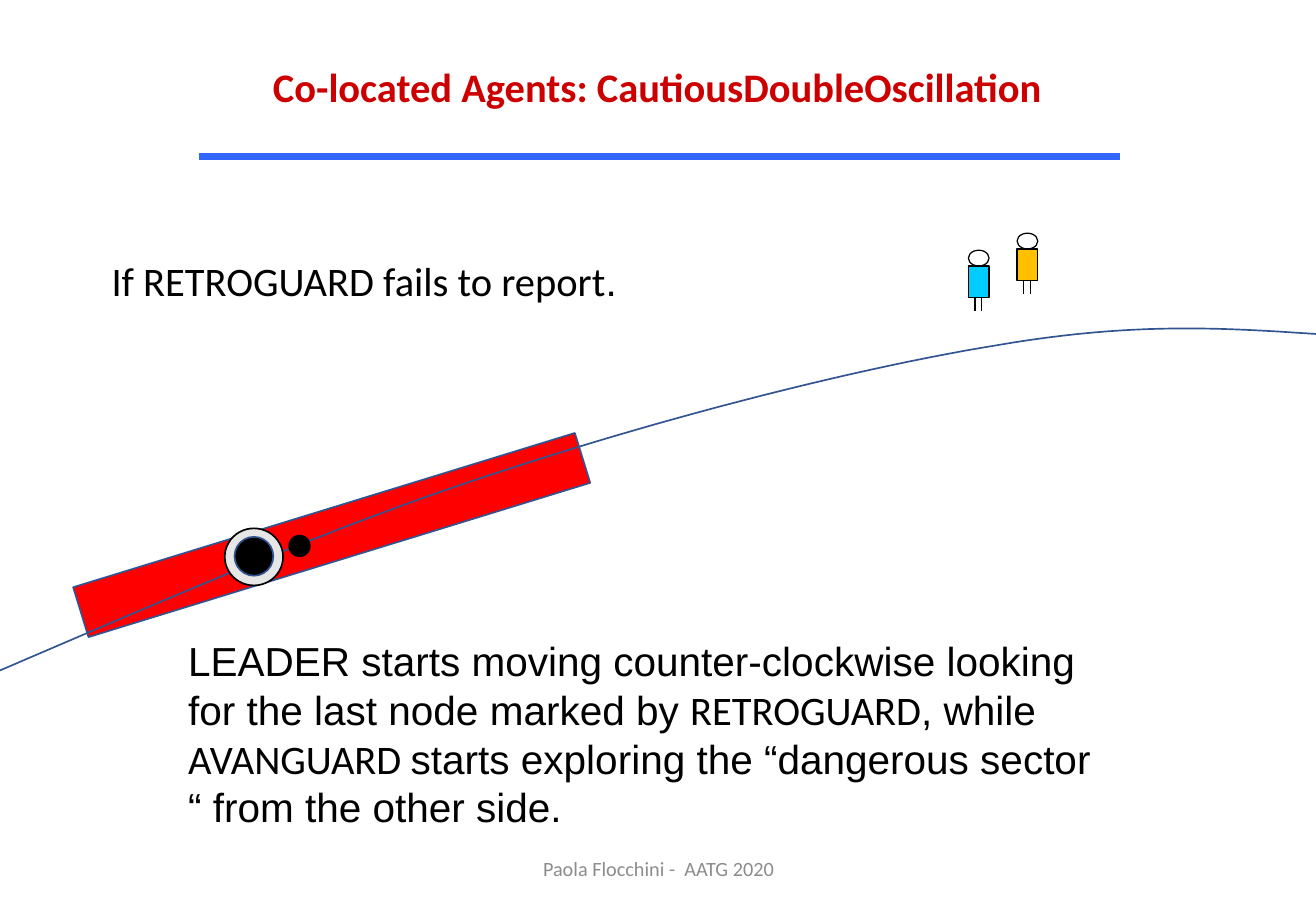
from lxml import etree
from pptx import Presentation
from pptx.dml.color import RGBColor
from pptx.enum.shapes import MSO_CONNECTOR, MSO_SHAPE
from pptx.enum.text import MSO_ANCHOR, MSO_AUTO_SIZE, PP_ALIGN
from pptx.oxml.ns import qn
from pptx.util import Inches, Pt

RECTANGLE, ELLIPSE = MSO_SHAPE.RECTANGLE, MSO_SHAPE.OVAL
STRAIGHT = MSO_CONNECTOR.STRAIGHT
LEFT, CENTER = PP_ALIGN.LEFT, PP_ALIGN.CENTER
TOP, MIDDLE = MSO_ANCHOR.TOP, MSO_ANCHOR.MIDDLE
SANS, BODY = "Arial", "Calibri"
BLACK, NAVY, RED, GREY = "000000", "325491", "FF0000", "8C8C8C"
TITLE_RED, RULE_BLUE, RING_GREY = "CC0000", "3366FF", "E7E6E6"
CYAN, AMBER = "00CCFF", "FFC000"
STEPS = 24

RING_CURVE = [
    [(0, 73.6), (12.93, 65.6), (25.76, 57.47), (38.41, 51.6)],
    [(38.41, 51.6), (51.06, 45.6), (65.56, 40.27), (75.9, 37.87)],
    [(75.9, 37.87), (86.15, 35.33), (93.07, 36), (100, 36.67)],
]


def color(value):
    return RGBColor.from_string(value)


def bezier_point(points, t):
    """Return the point at share t of a cubic Bezier curve."""
    weights = ((1 - t) ** 3, 3 * t * (1 - t) ** 2, 3 * t ** 2 * (1 - t), t ** 3)
    return tuple(sum(weight * point[axis] for weight, point in zip(weights, points))
                 for axis in (0, 1))


class SlideBuilder:
    """Draws on one slide; lengths are percent of its width and height."""

    def __init__(self, presentation):
        self.column = presentation.slide_width / 100
        self.row = presentation.slide_height / 100
        self.slide = presentation.slides.add_slide(presentation.slide_layouts[5])
        self.shapes = self.slide.shapes

    def place(self, *lengths):
        """Turn alternating columns and rows into slide units."""
        return [round(length * (self.row if index % 2 else self.column))
                for index, length in enumerate(lengths)]

    def outline(self, shape, line, width):
        shape.line.color.rgb = color(line)
        shape.line.width = Pt(width)

    def shape(self, kind, box, fill=None, line=BLACK, width=1, parent=None):
        shape = (parent or self).shapes.add_shape(kind, *self.place(*box))
        shape.shadow.inherit = False
        if fill:
            shape.fill.solid()
            shape.fill.fore_color.rgb = color(fill)
        else:
            shape.fill.background()
        self.outline(shape, line, width)
        return shape

    def line(self, ends, line=BLACK, width=0.75, parent=None):
        connector = (parent or self).shapes.add_connector(STRAIGHT, *self.place(*ends))
        self.outline(connector, line, width)
        etree.SubElement(connector._element.spPr, qn("a:effectLst"))

    def curve(self, segments, line, width):
        points = [bezier_point(segment, step / STEPS)
                  for segment in segments for step in range(1, STEPS + 1)]
        builder = self.shapes.build_freeform(*self.place(*segments[0][0]))
        builder.add_line_segments([self.place(*point) for point in points], close=False)
        shape = builder.convert_to_shape()
        shape.shadow.inherit = False
        shape.fill.background()
        self.outline(shape, line, width)

    def add_runs(self, shape, runs, size=24, ink=BLACK, bold=False,
                 align=LEFT, anchor=TOP, wrap=True):
        """Fill a text shape with (text, font) runs."""
        frame = shape.text_frame
        frame.word_wrap = wrap
        frame.auto_size = MSO_AUTO_SIZE.NONE
        frame.vertical_anchor = anchor
        paragraph = frame.paragraphs[0]
        paragraph.alignment = align
        paragraph.line_spacing = 1
        paragraph.space_before = Pt(0)
        for text, font in runs:
            run = paragraph.add_run()
            run.text = text
            run.font.name = font
            run.font.size = Pt(size)
            run.font.bold = bold
            run.font.color.rgb = color(ink)

    def title(self, box, text):
        title = self.shapes.title
        title.left, title.top, title.width, title.height = self.place(*box)
        self.add_runs(title, [(text, BODY)], ink=TITLE_RED, bold=True, align=CENTER)

    def text(self, box, runs, **style):
        self.add_runs(self.shapes.add_textbox(*self.place(*box)), runs, **style)

    def agent(self, left, top, fill):
        """Draw a small figure: head, body and two legs."""
        group = self.shapes.add_group_shape()
        width, head, body, leg = 1.57, 1.73, 3.47, 1.47
        hip = top + head + body
        self.shape(ELLIPSE, (left, top, width, head), width=0.75, parent=group)
        self.shape(RECTANGLE, (left, top + head, width, body), fill,
                   width=0.75, parent=group)
        for offset in (0.5, 1.02):
            self.line((left + offset, hip, left + offset, hip + leg), parent=group)


def main():
    presentation = Presentation()
    presentation.slide_width = Inches(10.83)
    presentation.slide_height = Inches(7.5)
    builder = SlideBuilder(presentation)

    builder.title((19.76, 6.13, 60.39, 6.67),
                  "Co-located Agents: CautiousDoubleOscillation")
    builder.line((15.14, 17.2, 85.13, 17.2), RULE_BLUE, 4)

    dangerous_sector = builder.shape(RECTANGLE, (5.26, 55.87, 39.89, 5.73), RED, NAVY)
    dangerous_sector.rotation = 342.9
    builder.curve(RING_CURVE, NAVY, 1)

    builder.shape(ELLIPSE, (21.98, 58.8, 1.57, 2.27), BLACK)
    black_hole = builder.shapes.add_group_shape()
    builder.shape(ELLIPSE, (17.08, 58, 4.43, 6.27), RING_GREY, parent=black_hole)
    builder.shape(ELLIPSE, (17.82, 58.93, 2.95, 4.27), BLACK, NAVY, parent=black_hole)

    builder.agent(73.59, 27.47, CYAN)
    builder.agent(77.29, 25.6, AMBER)

    builder.text((7.57, 27.47, 41.18, 6.67),
                 [("If RETROGUARD fails to report", BODY), (".", SANS)], wrap=False)
    builder.text((13.39, 69.2, 71.75, 22.93), [
        ("LEADER starts moving counter-clockwise looking for the last node marked by ", SANS),
        ("RETROGUARD", BODY),
        (", while ", SANS),
        ("AVANGUARD ", BODY),
        ("starts exploring the “dangerous sector “ from the other side.", SANS),
    ])
    builder.text((33.15, 92.67, 33.8, 5.33), [("Paola Flocchini -  AATG 2020", BODY)],
                 size=12, ink=GREY, align=CENTER, anchor=MIDDLE)

    presentation.save("out.pptx")


if __name__ == "__main__":
    main()
